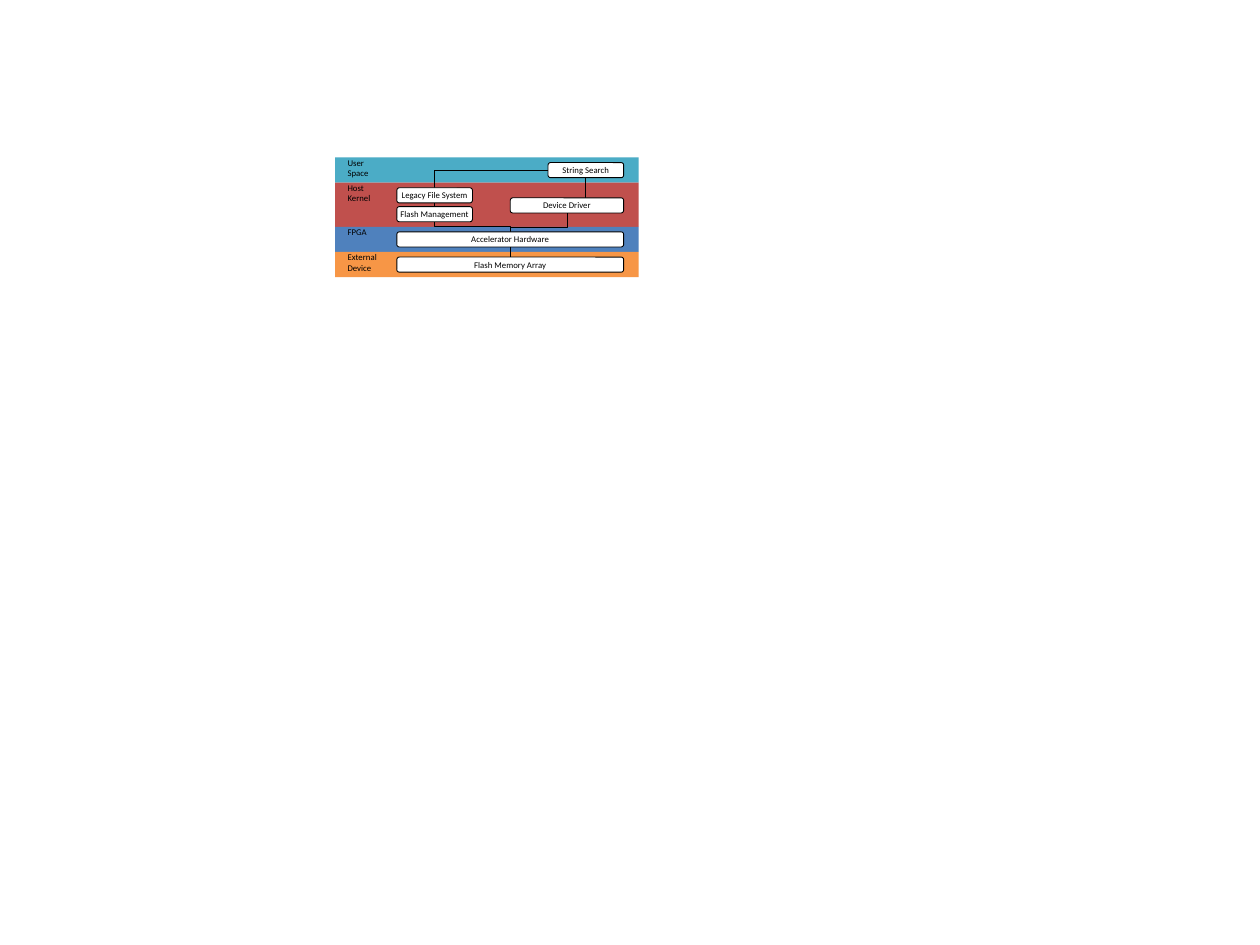
from typing import NamedTuple

from lxml.etree import SubElement
from pptx import Presentation
from pptx.dml.color import RGBColor
from pptx.enum.shapes import MSO_CONNECTOR as Link, MSO_SHAPE as Shape
from pptx.enum.text import MSO_ANCHOR as Anchor, PP_ALIGN as Align
from pptx.oxml.ns import qn
from pptx.util import Inches, Pt

BLACK, WHITE = "000000", "FFFFFF"
LAYER_LEFT, LAYER_TOP, LAYER_WIDTH = 2.66, 1.25, 2.41
BLOCK_HEIGHT = 0.12


class Layer(NamedTuple):
    label: str
    height: float
    color: str


class Block(NamedTuple):
    label: str
    left: float
    top: float
    width: float
    wrap: bool = False


class Wire(NamedTuple):
    start: tuple[float, float]
    end: tuple[float, float]


class Elbow(NamedTuple):
    left: float
    top: float
    width: float
    height: float
    turn: int
    flip: str = ""
    preset: str = "bentConnector3"
    bend: float | None = None


LAYERS = [
    Layer("User\nSpace", 0.2, "4BACC6"),
    Layer("Host\nKernel", 0.35, "C0504D"),
    Layer("FPGA", 0.2, "4F81BD"),
    Layer("External\nDevice", 0.2, "F79646"),
]
BLOCKS = [
    Block("String Search", 4.35, 1.29, 0.6),
    Block("Legacy File System", 3.15, 1.49, 0.6),
    Block("Flash Management", 3.15, 1.64, 0.6),
    Block("Device Driver", 4.05, 1.57, 0.9),
    Block("Accelerator Hardware", 3.15, 1.84, 1.8, True),
    Block("Flash Memory Array", 3.15, 2.04, 1.8, True),
]
WIRES = [
    Wire((4.65, 1.41), (4.65, 1.57)),
    Wire((3.45, 1.61), (3.45, 1.64)),
    Wire((4.05, 1.96), (4.05, 2.04)),
]
ELBOWS = [
    Elbow(3.45, 1.35, 0.9, 0.14, 180, "flipV", "bentConnector2"),
    Elbow(3.71, 1.5, 0.08, 0.6, 270, "flipH", bend=0.5),
    Elbow(4.2, 1.54, 0.15, 0.45, 90, bend=0.75),
]


def rgb(color: str) -> RGBColor:
    """Turn a hex string into a colour."""
    return RGBColor.from_string(color)


def add_box(slide, kind, left, top, width, height, color, label, align):
    """Add a filled shape with small black text."""
    box = slide.shapes.add_shape(
        kind, Inches(left), Inches(top), Inches(width), Inches(height))
    box.shadow.inherit = False
    box.fill.solid()
    box.fill.fore_color.rgb = rgb(color)
    box.text_frame.text = label
    for paragraph in box.text_frame.paragraphs:
        paragraph.alignment = align
        for run in paragraph.runs:
            run.font.size = Pt(5)
            run.font.name = "Calibri"
            run.font.color.rgb = rgb(BLACK)
    return box


def add_layer(slide, layer: Layer, top: float) -> None:
    """Add a full-width layer band with its label at the top left."""
    band = add_box(slide, Shape.RECTANGLE, LAYER_LEFT, top, LAYER_WIDTH,
                   layer.height, layer.color, layer.label, Align.LEFT)
    band.line.fill.background()
    frame = band.text_frame
    frame.margin_top = frame.margin_bottom = 0
    frame.vertical_anchor = Anchor.TOP


def add_block(slide, block: Block) -> None:
    """Add a white outlined component block."""
    box = add_box(slide, Shape.ROUNDED_RECTANGLE, block.left, block.top,
                  block.width, BLOCK_HEIGHT, WHITE, block.label, Align.CENTER)
    box.line.color.rgb = rgb(BLACK)
    box.line.width = Pt(0.5)
    box.text_frame.word_wrap = block.wrap
    box.text_frame.vertical_anchor = Anchor.MIDDLE


def add_link(slide, kind, start, end):
    """Add a thin black connector without a shadow."""
    link = slide.shapes.add_connector(
        kind, *(Inches(value) for value in (*start, *end)))
    link.line.color.rgb = rgb(BLACK)
    link.line.width = Pt(0.5)
    SubElement(link._element.spPr, qn("a:effectLst"))
    return link


def add_elbow(slide, elbow: Elbow) -> None:
    """Add a bent connector, turned and flipped about its centre."""
    link = add_link(slide, Link.ELBOW, (elbow.left, elbow.top),
                    (elbow.left + elbow.width, elbow.top + elbow.height))
    properties = link._element.spPr
    frame = properties.find(qn("a:xfrm"))
    frame.set("rot", str(elbow.turn * 60000))
    if elbow.flip:
        frame.set(elbow.flip, "1")
    geometry = properties.find(qn("a:prstGeom"))
    geometry.set("prst", elbow.preset)
    if elbow.bend is not None:
        guides = geometry.find(qn("a:avLst"))
        SubElement(guides, qn("a:gd"), name="adj1",
                   fmla=f"val {round(elbow.bend * 100000)}")


def main() -> None:
    """Build the slide of the storage stack."""
    deck = Presentation()
    deck.slide_width, deck.slide_height = Inches(10), Inches(7.5)
    slide = deck.slides.add_slide(deck.slide_layouts[6])
    top = LAYER_TOP
    for layer in LAYERS:
        add_layer(slide, layer, top)
        top += layer.height
    for wire in WIRES:
        add_link(slide, Link.STRAIGHT, wire.start, wire.end)
    for elbow in ELBOWS:
        add_elbow(slide, elbow)
    for block in BLOCKS:
        add_block(slide, block)
    deck.save("out.pptx")


main()
